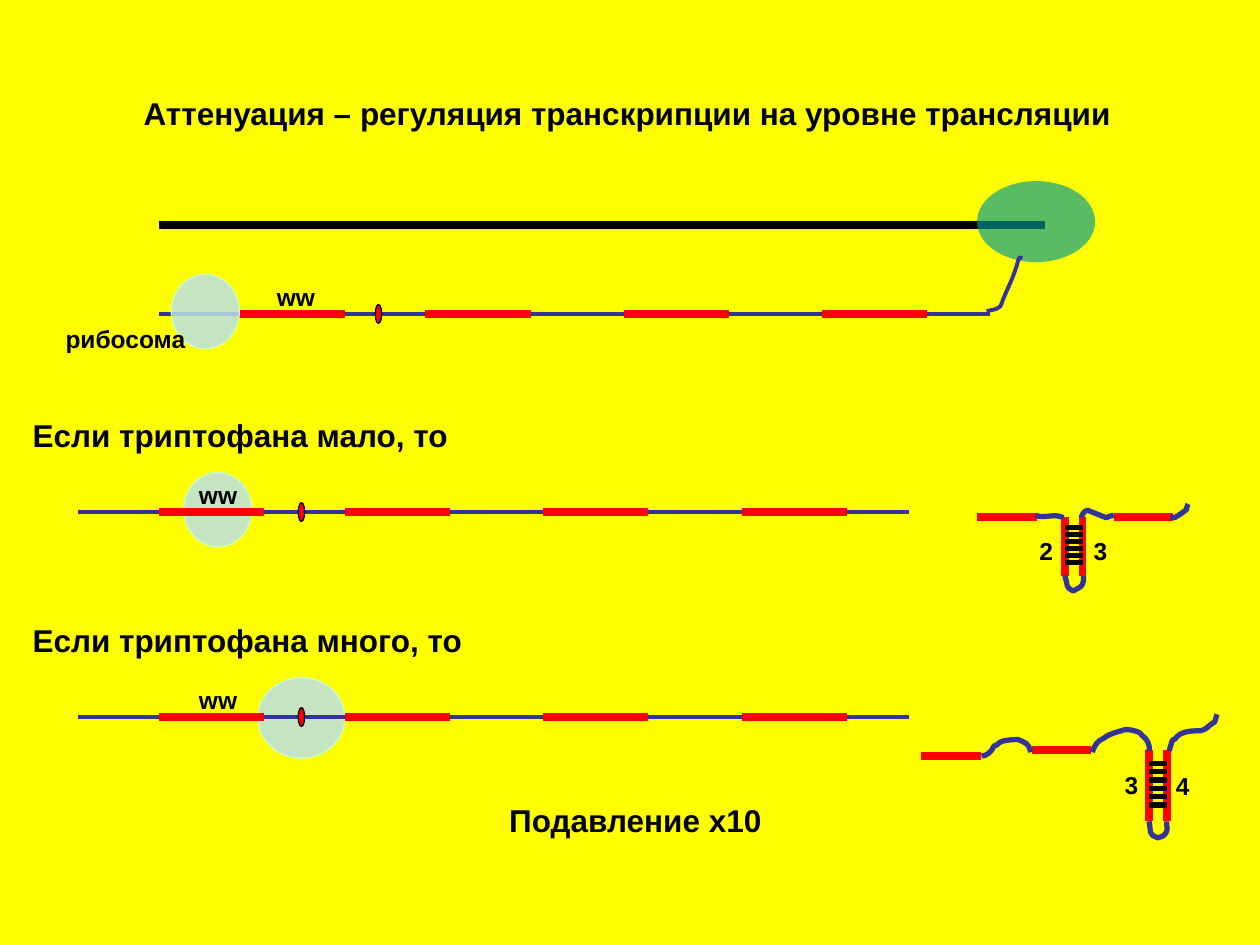
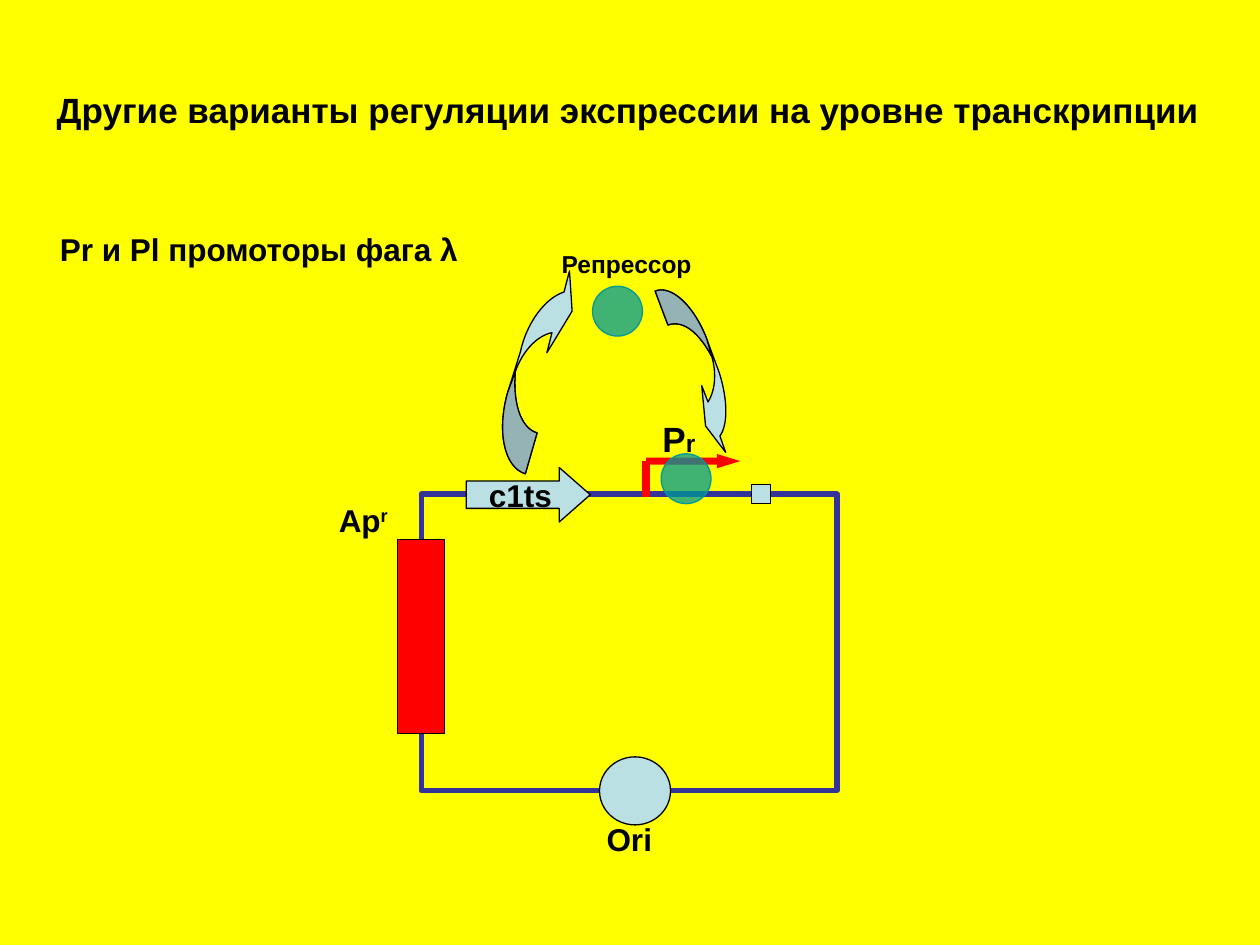
"""Build two slides on attenuation and on repressor control of phage promoters."""
from copy import deepcopy
from lxml import etree
from pptx import Presentation
from pptx.dml.color import RGBColor
from pptx.enum.shapes import MSO_CONNECTOR, MSO_SHAPE as SHAPE
from pptx.enum.text import MSO_ANCHOR as ANCHOR, MSO_AUTO_SIZE as FIT, PP_ALIGN as ALIGN
from pptx.oxml.ns import qn
from pptx.util import Pt

YELLOW = RGBColor(0xFF, 0xFF, 0x00)
BLACK = RGBColor(0x00, 0x00, 0x00)
RED = RGBColor(0xFF, 0x00, 0x00)
BLUE = RGBColor(0x33, 0x33, 0x99)
TEAL = RGBColor(0x00, 0x99, 0x99)
PALE = RGBColor(0xBB, 0xE0, 0xE3)
MINT = RGBColor(0xCC, 0xFF, 0xCC)
FONT = "Arial"


def add(slide, kind, box, fill=None, edge=None, width=0.75, alpha=None):
    """Add a preset shape, or a straight line from point to point if kind is None."""
    box = [Pt(n) for n in box]
    if kind is None:
        item = slide.shapes.add_connector(MSO_CONNECTOR.STRAIGHT, *box)
    else:
        item = slide.shapes.add_shape(kind, *box)
        item.shadow.inherit = False
        if fill is None:
            item.fill.background()
        else:
            item.fill.solid()
            item.fill.fore_color.rgb = fill
        if alpha:
            tint = item.fill._xPr.find(".//" + qn("a:srgbClr"))
            etree.SubElement(tint, qn("a:alpha"), val=str(alpha * 1000))
    if edge is None:
        item.line.fill.background()
    else:
        item.line.color.rgb = edge
        item.line.width = Pt(width)
    if kind is None:
        etree.SubElement(item._element.spPr, qn("a:effectLst"))
    return item


def bend(slide, start, parts, edge, width, fill=None):
    """Draw an outline of straight parts (x, y) and cubic parts (three points)."""
    build = slide.shapes.build_freeform(Pt(start[0]), Pt(start[1]))
    ends = [(Pt(part[-2]), Pt(part[-1])) for part in parts]
    build.add_line_segments(ends, close=fill is not None)
    item = build.convert_to_shape()
    item.shadow.inherit = False
    item.line.color.rgb = edge
    item.line.width = Pt(width)
    if fill is None:
        item.fill.background()
    else:
        item.fill.solid()
        item.fill.fore_color.rgb = fill
    track = item._element.find(".//" + qn("a:path"))
    for leg, part in zip(track.findall(qn("a:lnTo")), parts):
        if len(part) == 6:
            curve = etree.Element(qn("a:cubicBezTo"))
            for x, y in zip(part[::2], part[1::2]):
                etree.SubElement(curve, qn("a:pt"), x=str(Pt(x) - item.left),
                                 y=str(Pt(y) - item.top))
            track.replace(leg, curve)
    return track


prs = Presentation()
prs.slide_width, prs.slide_height = Pt(720), Pt(540)
back = prs.slide_master.background.fill
back.solid()
back.fore_color.rgb = YELLOW

titles = [
    ("Аттенуация – регуляция транскрипции на уровне трансляции", (74.9, 50, 568, 28.8), 18),
    ("Другие варианты регуляции экспрессии на уровне транскрипции", (25.2, 46.8, 669, 31.7), 20),
]
for text, (x, y, w, h), size in titles:
    slide = prs.slides.add_slide(prs.slide_layouts[5])
    title = slide.shapes.title
    title.left, title.top, title.width, title.height = Pt(x), Pt(y), Pt(w), Pt(h)
    frame = title.text_frame
    frame.text = text
    frame.word_wrap = False
    frame.auto_size = FIT.SHAPE_TO_FIT_TEXT
    frame.vertical_anchor = ANCHOR.TOP
    para = frame.paragraphs[0]
    para.alignment = ALIGN.LEFT
    para.font.name, para.font.size, para.font.bold = FONT, Pt(size), True
    para.font.color.rgb = BLACK
rna, phage = prs.slides

for box in [(105, 270, 38.9, 42.5), (147.4, 387.2, 49.7, 46.1)]:
    add(rna, SHAPE.OVAL, box, PALE, MINT, alpha=86)
add(rna, None, (90.7, 128.4, 597.4, 128.4), edge=BLACK, width=4.5)

labels = []
for x, y, stop, word in [(90.7, 179.2, 123.9, 60.4), (44.6, 292.4, 126, 62),
                         (44.6, 409.5, 126, 62)]:
    add(rna, None, (x, y, x + 475, y), edge=BLUE, width=2.25)
    for gap in (46.1, 152.4, 265.7, 379.2):
        add(rna, None, (x + gap, y, x + gap + 60.1, y), edge=RED, width=4.5)
    add(rna, SHAPE.OVAL, (x + stop - 0.2, y - 5.2, 3.7, 10.8), RED, BLACK)
    labels.append((rna, [("ww", 14, 0)], (x + word, y - 21.8, 36, 24.5), ALIGN.LEFT))
add(rna, SHAPE.OVAL, (97.9, 156.8, 38.9, 42.5), PALE, MINT, alpha=86)
add(rna, SHAPE.OVAL, (558.3, 103.5, 67.5, 46.3), TEAL, alpha=65)

for x, end, y in [(558.5, 592.4, 295.2), (636.5, 670.1, 295.2),
                  (589.5, 623.5, 428.4), (526.3, 560.7, 432)]:
    add(rna, None, (x, y, end, y), edge=RED, width=4.5)
for left, right, top, low, first, gap in [(608.8, 618.6, 295.2, 329, 301.5, 3.95),
                                          (656.8, 666.8, 428.8, 469.2, 436.2, 4.75)]:
    for x in (left, right):
        add(rna, None, (x, top, x, low), edge=RED, width=4.5)
    for n in range(6):
        y = first + n * gap
        add(rna, None, (left, y, right, y), edge=BLACK, width=3)

bend(rna, (563.8, 177.8), [
    (566.6, 177.1, 569.5, 177.1, 571.7, 175), (572.4, 174.2, 572.4, 172.8, 573.1, 171.4),
    (576.7, 162.7, 578.2, 160.6, 581, 151.9), (583.2, 142.6, 583.2, 150.5, 583.2, 146.2),
], BLUE, 2.25)
strands = [
    ((608.4, 329), [
        (610.6, 334.8, 608.4, 335.5, 613.4, 337.7), (615.6, 336.2, 617, 336.2, 618.5, 334.1),
        (619.2, 331.2, 619.2, 333.4, 619.2, 329)]),
    ((591.8, 294.5), [(596.9, 296.6, 602.6, 293, 607.7, 295.9)]),
    ((617.8, 295.9), [
        (618.5, 293.8, 619.2, 292.3, 621.4, 291.6), (625, 293, 628.6, 294.5, 632.2, 295.9),
        (633.6, 295.2, 635, 294.5, 636.5, 294.5)]),
    ((668.9, 295.2), [
        (669.6, 295.9, 670.3, 295.9, 671, 295.9), (672.5, 295.2, 673.2, 294.5, 674.6, 293.8),
        (675.4, 293, 676.8, 292.3, 677.5, 291.6), (678.2, 291.6, 678.2, 290.9, 678.2, 290.2),
        (678.2, 289.4, 679, 288, 679, 288)]),
    ((589, 429.8), [
        (587.5, 424.1, 586.1, 424.8, 581.8, 422.6), (581.8, 422.6, 574.6, 422.6, 571.7, 424.1),
        (567.4, 427, 572.4, 424.8, 568.1, 426.2), (566.6, 429.8, 563.8, 432, 560.9, 432)]),
    ((656.6, 469.4), [
        (658.1, 475.9, 655.9, 476.6, 661.7, 478.8), (663.8, 478.1, 665.3, 478.1, 666.7, 475.2),
        (667.4, 472.3, 666.7, 474.5, 666.7, 469.4)]),
    ((624.2, 429.8), [
        (625.7, 425.5, 627.1, 423.4, 630.7, 421.9), (634.3, 419, 638.6, 418.3, 643, 416.9),
        (644.4, 416.9, 646.6, 416.9, 648, 417.6), (649.4, 417.6, 651.6, 419, 651.6, 419),
        (653, 421.2, 654.5, 421.2, 655.9, 424.1), (657.4, 428.4, 656.6, 426.2, 656.6, 429.1)]),
    ((668.2, 429.1), [
        (668.2, 428.4, 669.6, 423.4, 670.3, 422.6), (671, 422.6, 671.8, 422.6, 671.8, 421.9),
        (674.6, 417.6, 681.8, 417.6, 686.2, 417.6), (689.8, 416.2, 688.3, 416.9, 691.9, 414),
        (692.6, 413.3, 694.1, 412.6, 694.1, 412.6), (694.1, 411.8, 694.1, 411.1, 694.8, 410.4),
        (694.8, 409.7, 695.5, 408.2, 695.5, 408.2)]),
]
for start, parts in strands:
    bend(rna, start, parts, BLUE, 3)

add(phage, SHAPE.RECTANGLE, (240.7, 282.4, 237.6, 169.4), edge=BLUE, width=3)
add(phage, SHAPE.OVAL, (342.6, 432.5, 40.6, 38.9), PALE, BLACK)
add(phage, SHAPE.RECTANGLE, (227, 308.3, 27.1, 110.9), RED, BLACK)
add(phage, None, (369.2, 284.2, 369.2, 263.5), edge=RED, width=4.5)
start = add(phage, SHAPE.RIGHT_ARROW, (369.2, 259.4, 53.8, 8.2), RED)
start.adjustments[1] = 1.629
add(phage, SHAPE.RECTANGLE, (429.6, 277, 10.8, 10.8), PALE, BLACK)
gene = add(phage, SHAPE.RIGHT_ARROW, (266.4, 267.1, 70.9, 31.2), PALE, BLACK)
gene.adjustments[1] = 0.569
frame = gene.text_frame
frame.text = "c1ts"
frame.word_wrap = False
frame.vertical_anchor = ANCHOR.MIDDLE
para = frame.paragraphs[0]
para.alignment = ALIGN.CENTER
para.font.name, para.font.size, para.font.bold = FONT, Pt(18), True
para.font.color.rgb = BLACK

arrows = [
    ((300.2, 270.7), [
        (288, 267.1, 283.7, 246.2, 290.2, 223.9), (297.4, 200.9),
        (301, 184, 312, 170, 322.3, 166.9), (325.4, 154.8), (326.9, 177.8), (312.5, 201.6),
        (315.4, 190.1), (306, 192, 298, 202, 294.5, 212.4),
        (293, 229, 297, 244.5, 306.9, 247.4)]),
    ((374.4, 166.3), [
        (384, 162.7, 396.7, 175, 403.9, 193.7), (411.1, 213.1),
        (416, 228.6, 416, 243, 411.4, 249.1), (414.7, 258.5), (403.2, 243.4), (401, 220.3),
        (404.6, 229.7), (409.5, 222, 409, 211, 406.8, 203.8),
        (400, 191, 391, 182.5, 381.7, 185.7)]),
]
for start, parts in arrows:
    front = bend(phage, start, parts, BLACK, 0.75, PALE)
    tail = deepcopy(front)
    tail.set("fill", "darkenLess")
    for leg in tail[2:-3]:
        tail.remove(leg)
    join = etree.Element(qn("a:lnTo"))
    join.append(tail[2][-1])
    tail.replace(tail[2], join)
    front.addnext(tail)
for x, y in [(338.6, 163.6), (377.8, 259.3)]:
    add(phage, SHAPE.OVAL, (x, y, 28.5, 28.5), TEAL, TEAL, alpha=75)

labels += [
    (rna, [("рибосома", 14, 0)], (30.4, 181.4, 83.5, 24.5), ALIGN.LEFT),
    (rna, [("Если триптофана мало, то", 18, 0)], (11.5, 234, 252.7, 28.8), ALIGN.LEFT),
    (rna, [("Если триптофана много, то", 18, 0)], (11.5, 351.4, 260.6, 28.8), ALIGN.LEFT),
    (rna, [("2", 14, 0)], (586.8, 302.7, 22.3, 24.5), ALIGN.LEFT),
    (rna, [("3", 14, 0)], (617.8, 302.7, 22.3, 24.5), ALIGN.LEFT),
    (rna, [("3", 14, 0)], (635.6, 436.3, 22.3, 24.5), ALIGN.LEFT),
    (rna, [("4", 14, 0)], (664.8, 437.3, 22.3, 24.5), ALIGN.LEFT),
    (rna, [("Подавление х10", 18, 0)], (283.9, 454.3, 159.1, 28.8), ALIGN.LEFT),
    (phage, [("Ori", 18, 0)], (329, 465.1, 61.2, 28.8), ALIGN.CENTER),
    (phage, [("Ap", 18, 0), ("r", 18, 30)], (186.5, 282.5, 61.2, 28.8), ALIGN.LEFT),
    (phage, [("Р", 20, 0), ("r", 14, 0)], (371.5, 235, 33.1, 31.7), ALIGN.LEFT),
    (phage, [("Pr и Pl промоторы фага λ", 18, 0)], (27.1, 127.7, 242.6, 28.8), ALIGN.LEFT),
    (phage, [("Репрессор", 14, 0)], (313.9, 139, 89.3, 24.5), ALIGN.LEFT),
]
for slide, runs, box, align in labels:
    frame = slide.shapes.add_textbox(*[Pt(n) for n in box]).text_frame
    frame.word_wrap = False
    frame.auto_size = FIT.SHAPE_TO_FIT_TEXT
    para = frame.paragraphs[0]
    para.alignment = align
    para.font.name, para.font.bold = FONT, True
    para.font.color.rgb = BLACK
    for text, size, rise in runs:
        run = para.add_run()
        run.text = text
        run.font.size = Pt(size)
        if rise:
            run.font._element.set("baseline", str(rise * 1000))

prs.save("out.pptx")
